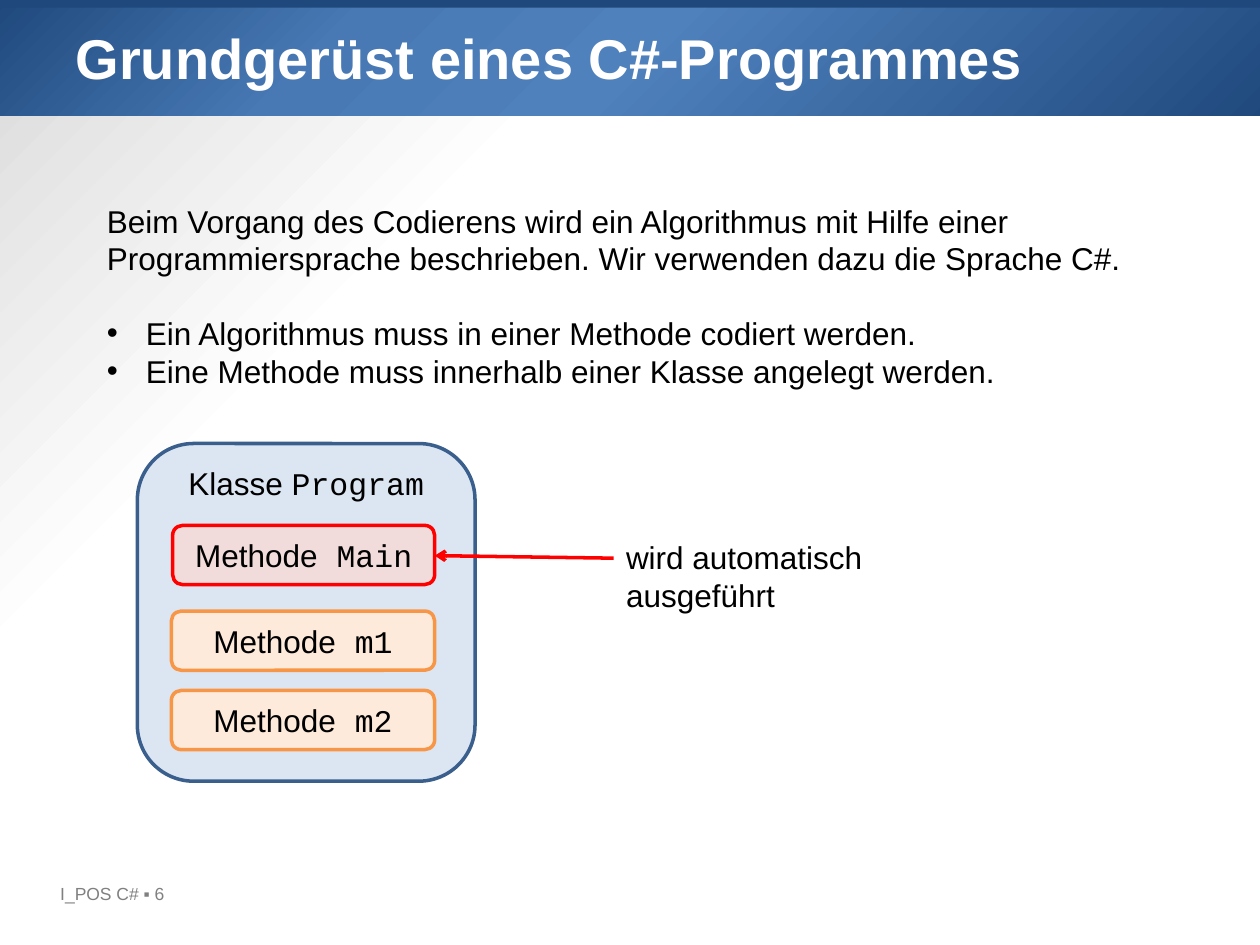
from dataclasses import dataclass

from lxml.etree import SubElement
from pptx import Presentation
from pptx.dml.color import RGBColor
from pptx.enum.shapes import MSO_CONNECTOR, MSO_SHAPE
from pptx.enum.text import MSO_ANCHOR, PP_ALIGN
from pptx.oxml import parse_xml
from pptx.oxml.ns import nsdecls, qn
from pptx.util import Inches, Pt


@dataclass(frozen=True)
class Theme:
    font: str = "Arial"
    code_font: str = "Courier New"
    title_size: int = 32
    body_size: int = 18
    footer_size: int = 10
    outline: int = 2
    text: str = "000000"
    title: str = "FFFFFF"
    footer: str = "808080"
    navy: str = "1F497D"
    class_fill: str = "DCE6F2"
    class_line: str = "3A5F8C"
    method_fill: str = "FDEADA"
    method_line: str = "F79646"
    main_fill: str = "F2DCDB"
    main_line: str = "FF0000"


THEME = Theme()


@dataclass(frozen=True)
class CodeBox:
    label: str
    code: str
    left: float
    top: float
    width: float
    height: float
    fill: str
    line: str
    anchor: MSO_ANCHOR = MSO_ANCHOR.MIDDLE


def method_box(name: str, top: float) -> CodeBox:
    return CodeBox("Methode", f" {name}", 1.36, top, 2.09, 0.47,
                   THEME.method_fill, THEME.method_line)


CODE_BOXES = [
    CodeBox("Klasse ", "Program", 1.09, 3.52, 2.68, 2.68,
            THEME.class_fill, THEME.class_line, MSO_ANCHOR.TOP),
    method_box("m2", 5.48),
    method_box("m1", 4.85),
    CodeBox("Methode", " Main", 1.37, 4.17, 2.08, 0.47,
            THEME.main_fill, THEME.main_line),
]


def radial_gradient(stops, focus):
    """Build a circular gradient fill; focus gives its left, top, right and bottom insets."""
    stop_xml = "".join(
        f'<a:gs pos="{position * 1000}"><a:srgbClr val="{color}"/></a:gs>'
        for position, color in stops)
    left, top, right, bottom = (inset * 1000 for inset in focus)
    return parse_xml(
        f'<a:gradFill {nsdecls("a")} rotWithShape="1"><a:gsLst>{stop_xml}</a:gsLst>'
        f'<a:path path="circle"><a:fillToRect l="{left}" t="{top}" r="{right}" b="{bottom}"/>'
        '</a:path></a:gradFill>')


def swap_gradient(properties, gradient) -> None:
    properties.replace(properties.find(qn("a:gradFill")), gradient)


def write(paragraph, text: str, *, size: int = THEME.body_size, font: str = THEME.font,
          color: str = THEME.text, bold: bool = False, align=PP_ALIGN.LEFT) -> None:
    paragraph.alignment = align
    run = paragraph.add_run()
    run.text = text
    run.font.name, run.font.size, run.font.bold = font, Pt(size), bold
    run.font.color.rgb = RGBColor.from_string(color)


def add_text_frame(slide, left: float, top: float, width: float, height: float):
    frame = slide.shapes.add_textbox(
        Inches(left), Inches(top), Inches(width), Inches(height)).text_frame
    frame.word_wrap = True
    return frame


def make_bullet(paragraph) -> None:
    properties = paragraph._p.get_or_add_pPr()
    properties.set("marL", str(Inches(0.31)))
    properties.set("indent", str(Inches(-0.31)))
    SubElement(properties, qn("a:buFont"), typeface=THEME.font)
    SubElement(properties, qn("a:buChar"), char="•")


def add_bar(slide, top: float, height: float):
    bar = slide.shapes.add_shape(MSO_SHAPE.RECTANGLE, Inches(-0.01), Inches(top),
                                 Inches(10.12), Inches(height))
    bar.shadow.inherit = False
    bar.line.fill.background()
    return bar


def add_header(slide) -> None:
    band = add_bar(slide, -0.01, 0.93)
    band.fill.gradient()
    swap_gradient(band.element.spPr, radial_gradient(
        [(0, THEME.navy), (27, "4879B4"), (50, "4F81BD"), (100, THEME.navy)],
        (0, 0, 100, 100)))
    strip = add_bar(slide, -0.03, 0.09)
    strip.fill.solid()
    strip.fill.fore_color.rgb = RGBColor.from_string(THEME.navy)

    title = slide.shapes.title
    slide.shapes.element.append(title.element)  # in front of the bars
    title.left, title.top = Inches(0.5), Inches(0.14)
    title.width, title.height = Inches(9), Inches(1.25)
    title.text_frame.vertical_anchor = MSO_ANCHOR.TOP
    write(title.text_frame.paragraphs[0], "Grundgerüst eines C#-Programmes",
          size=THEME.title_size, color=THEME.title, bold=True)


def add_body(slide) -> None:
    frame = add_text_frame(slide, 0.75, 1.55, 8.32, 1.62)
    write(frame.paragraphs[0],
          "Beim Vorgang des Codierens wird ein Algorithmus mit Hilfe einer")
    write(frame.add_paragraph(),
          "Programmiersprache beschrieben. Wir verwenden dazu die Sprache C#.")
    rules = ["Ein Algorithmus muss in einer Methode codiert werden.",
             "Eine Methode muss innerhalb einer Klasse angelegt werden."]
    for index, rule in enumerate(rules):
        paragraph = frame.add_paragraph()
        make_bullet(paragraph)
        paragraph.space_before = Pt(0 if index else 21)
        write(paragraph, rule)


def add_code_box(slide, box: CodeBox) -> None:
    shape = slide.shapes.add_shape(MSO_SHAPE.ROUNDED_RECTANGLE, Inches(box.left),
                                   Inches(box.top), Inches(box.width), Inches(box.height))
    shape.shadow.inherit = False
    shape.fill.solid()
    shape.fill.fore_color.rgb = RGBColor.from_string(box.fill)
    shape.line.color.rgb = RGBColor.from_string(box.line)
    shape.line.width = Pt(THEME.outline)
    frame = shape.text_frame
    frame.vertical_anchor = box.anchor
    frame.margin_top = frame.margin_bottom = Inches(0.03)
    for text, font in ((box.label, THEME.font), (box.code, THEME.code_font)):
        write(frame.paragraphs[0], text, font=font, align=PP_ALIGN.CENTER)


def add_main_callout(slide) -> None:
    arrow = slide.shapes.add_connector(MSO_CONNECTOR.STRAIGHT, Inches(3.45), Inches(4.41),
                                       Inches(4.87), Inches(4.43))
    arrow.line.color.rgb = RGBColor.from_string(THEME.main_line)
    arrow.line.width = Pt(THEME.outline)
    SubElement(arrow.line._get_or_add_ln(), qn("a:headEnd"), type="arrow")
    SubElement(arrow.element.spPr, qn("a:effectLst"))
    note = add_text_frame(slide, 4.87, 4.22, 3.15, 0.7)
    write(note.paragraphs[0], "wird automatisch ausgeführt")


def main() -> None:
    deck = Presentation()
    deck.slide_width, deck.slide_height = Inches(10), Inches(7.5)
    slide = deck.slides.add_slide(deck.slide_layouts[5])
    slide.background.fill.gradient()
    swap_gradient(slide.element.cSld.bg.bgPr, radial_gradient(
        [(70, "FFFFFF"), (100, "D9D9D9")], (100, 100, 0, 0)))
    add_header(slide)
    footer = add_text_frame(slide, 0.38, 6.96, 1.86, 0.26)
    write(footer.paragraphs[0], "I_POS C# ▪ 6", size=THEME.footer_size, color=THEME.footer)
    add_body(slide)
    for box in CODE_BOXES:
        add_code_box(slide, box)
    add_main_callout(slide)
    deck.save("out.pptx")


if __name__ == "__main__":
    main()
